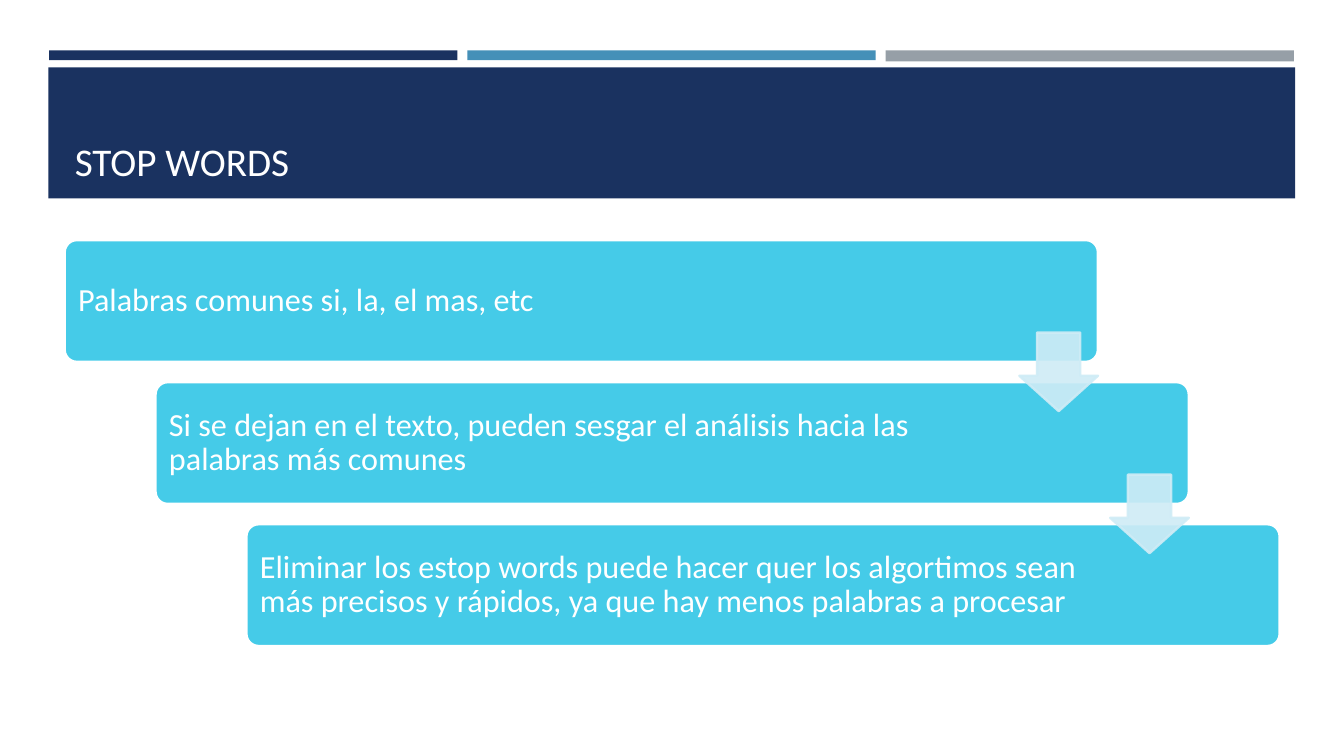
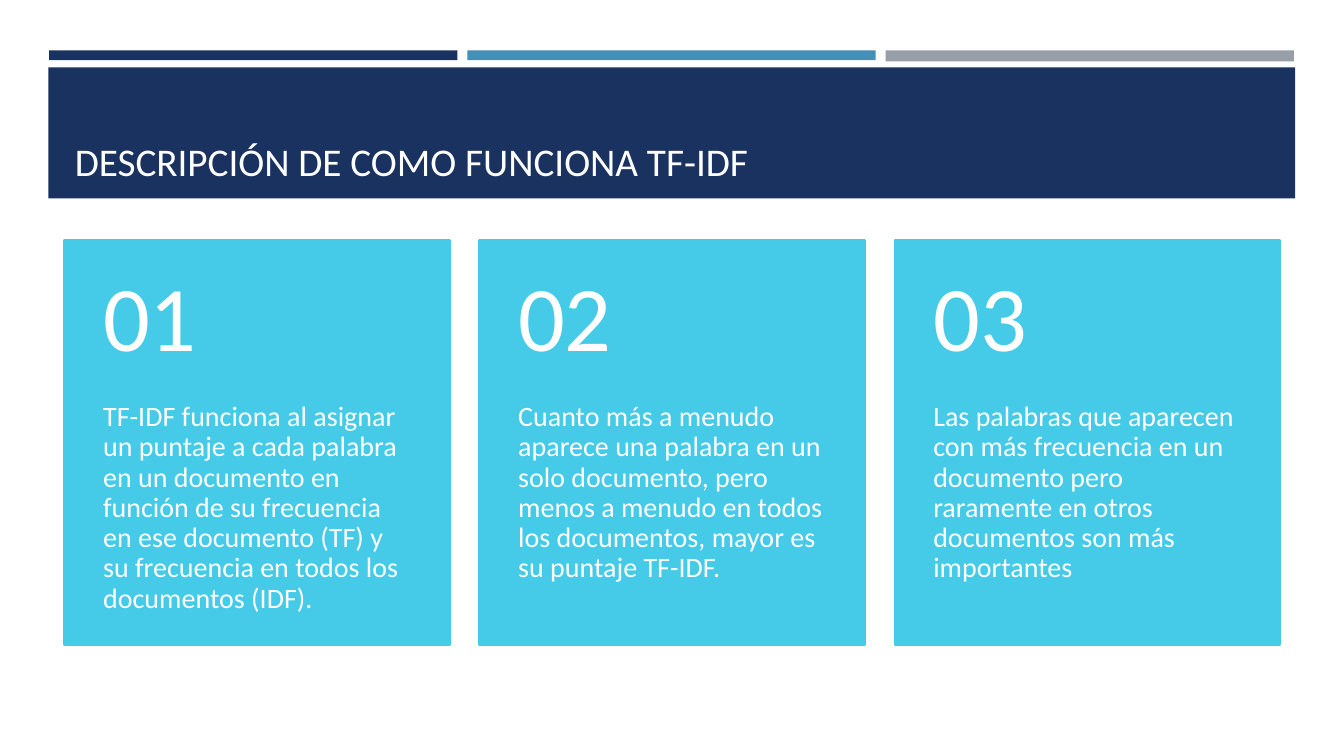
from dataclasses import dataclass

from lxml import etree
from pptx import Presentation
from pptx.dml.color import RGBColor
from pptx.enum import shapes, text
from pptx.oxml import ns
from pptx.util import Cm, Pt

STOP_WORDS = (
    "STOP WORDS",
    [
        "Palabras comunes si, la, el mas, etc",
        "Si se dejan en el texto, pueden sesgar el análisis hacia las palabras más comunes",
        "Eliminar los estop words puede hacer quer los algortimos sean más precisos "
        "y rápidos, ya que hay menos palabras a procesar",
    ],
)
TF_IDF = (
    "DESCRIPCIÓN DE COMO FUNCIONA TF-IDF",
    [
        ("01", "TF-IDF funciona al asignar un puntaje a cada palabra en un documento en "
               "función de su frecuencia en ese documento (TF) y su frecuencia en todos "
               "los documentos (IDF)."),
        ("02", "Cuanto más a menudo aparece una palabra en un solo documento, pero menos "
               "a menudo en todos los documentos, mayor es su puntaje TF-IDF."),
        ("03", "Las palabras que aparecen con más frecuencia en un documento pero "
               "raramente en otros documentos son más importantes"),
    ],
)


@dataclass(frozen=True)
class Theme:
    font: str = "Calibri"
    navy: str = "1A3260"
    blue: str = "4590B8"
    grey: str = "969FA7"
    cyan: str = "45CBE8"
    pale: str = "CFECF6"
    white: str = "FFFFFF"
    title: int = 28
    step: int = 23
    body: int = 20
    number: int = 66
    outline: float = 1.75


T = Theme()
SHAPE = shapes.MSO_SHAPE
ANCHOR = text.MSO_ANCHOR
LEFT, TOP = 1.63, 6.05  # corner of the content area, in cm


def add_box(slide, kind, at, fill, line=None):
    sp = slide.shapes.add_shape(kind, *map(Cm, at))
    sp.shadow.inherit = False
    sp.fill.solid()
    sp.fill.fore_color.rgb = RGBColor.from_string(fill)
    if line:
        sp.line.color.rgb = RGBColor.from_string(line)
        sp.line.width = Pt(T.outline)
    else:
        sp.line.fill.background()
    return sp


def write(sp, content, size, anchor, insets=None, spacing=None):
    """Fill a shape with one white paragraph; insets run left, top, right, bottom in cm."""
    tf = sp.text_frame
    tf.word_wrap = True
    tf.auto_size = text.MSO_AUTO_SIZE.NONE
    tf.vertical_anchor = anchor
    if insets:
        tf.margin_left, tf.margin_top, tf.margin_right, tf.margin_bottom = map(Cm, insets)
    p = tf.paragraphs[0]
    p.alignment = text.PP_ALIGN.LEFT
    if spacing:
        p.line_spacing = spacing
    r = p.add_run()
    r.text = content
    r.font.name = T.font
    r.font.size = Pt(size)
    r.font.color.rgb = RGBColor.from_string(T.white)


def set_opacity(sp, percent):
    for color in sp._element.spPr.iter(ns.qn("a:srgbClr")):
        etree.SubElement(color, ns.qn("a:alpha"), val=str(percent * 1000))


def style_layout(layout, slide):
    """Place the title and move the shared bands, drawn on a slide, into the layout."""
    title = layout.placeholders[0]
    title.left, title.top, title.width, title.height = map(Cm, (LEFT, 1.96, 30.63, 2.82))
    bands = [
        add_box(slide, SHAPE.RECTANGLE, (1.24 + i * 10.54, 1.27, 10.29, height), color)
        for i, (color, height) in enumerate([(T.navy, 0.25), (T.blue, 0.25), (T.grey, 0.28)])
    ]
    bands.append(add_box(slide, SHAPE.RECTANGLE, (1.22, 1.7, 31.42, 3.3), T.navy))
    for i, band in enumerate(bands):
        layout.shapes._spTree.insert(2 + i, band._element)


def add_titled_slide(prs, layout, title):
    slide = prs.slides.add_slide(layout)
    write(slide.shapes.title, title, T.title, ANCHOR.BOTTOM)
    return slide


def add_steps(slide, steps):
    width, height, dx, dy = 26.04, 3.07, 2.29, 3.58
    for i, step in enumerate(steps):
        sp = add_box(slide, SHAPE.ROUNDED_RECTANGLE,
                     (LEFT + i * dx, TOP + i * dy, width, height), T.cyan, T.white)
        sp.adjustments[0] = 0.1
        write(sp, step, T.step, ANCHOR.MIDDLE, (0.25, 0.25, 4.53, 0.25), 0.9)
    side = 1.98
    for i in range(len(steps) - 1):
        arrow = add_box(slide, SHAPE.DOWN_ARROW,
                        (LEFT + width - side + i * dx, 8.38 + i * dy, side, side),
                        T.pale, T.pale)
        arrow.adjustments[0], arrow.adjustments[1] = 0.55, 0.45
        set_opacity(arrow, 90)


def add_cards(slide, cards):
    width, height, pitch, number_height, pad = 9.7, 10.21, 10.46, 4.09, 0.97
    for i, (number, body) in enumerate(cards):
        x = LEFT + i * pitch
        card = add_box(slide, SHAPE.RECTANGLE, (x, TOP, width, height), T.cyan, T.cyan)
        write(card, body, T.body, ANCHOR.TOP, (pad, number_height, pad, 0.91), 0.9)
        label = slide.shapes.add_textbox(*map(Cm, (x, TOP, width, number_height)))
        write(label, number, T.number, ANCHOR.MIDDLE, (pad, 0.46, pad, 0.46), 0.9)


def main():
    prs = Presentation()
    prs.slide_width, prs.slide_height = Cm(33.87), Cm(19.05)
    layout = prs.slide_layouts.get_by_name("Title Only")

    title, steps = STOP_WORDS
    slide = add_titled_slide(prs, layout, title)
    style_layout(layout, slide)
    add_steps(slide, steps)

    title, cards = TF_IDF
    add_cards(add_titled_slide(prs, layout, title), cards)
    prs.save("out.pptx")


if __name__ == "__main__":
    main()
